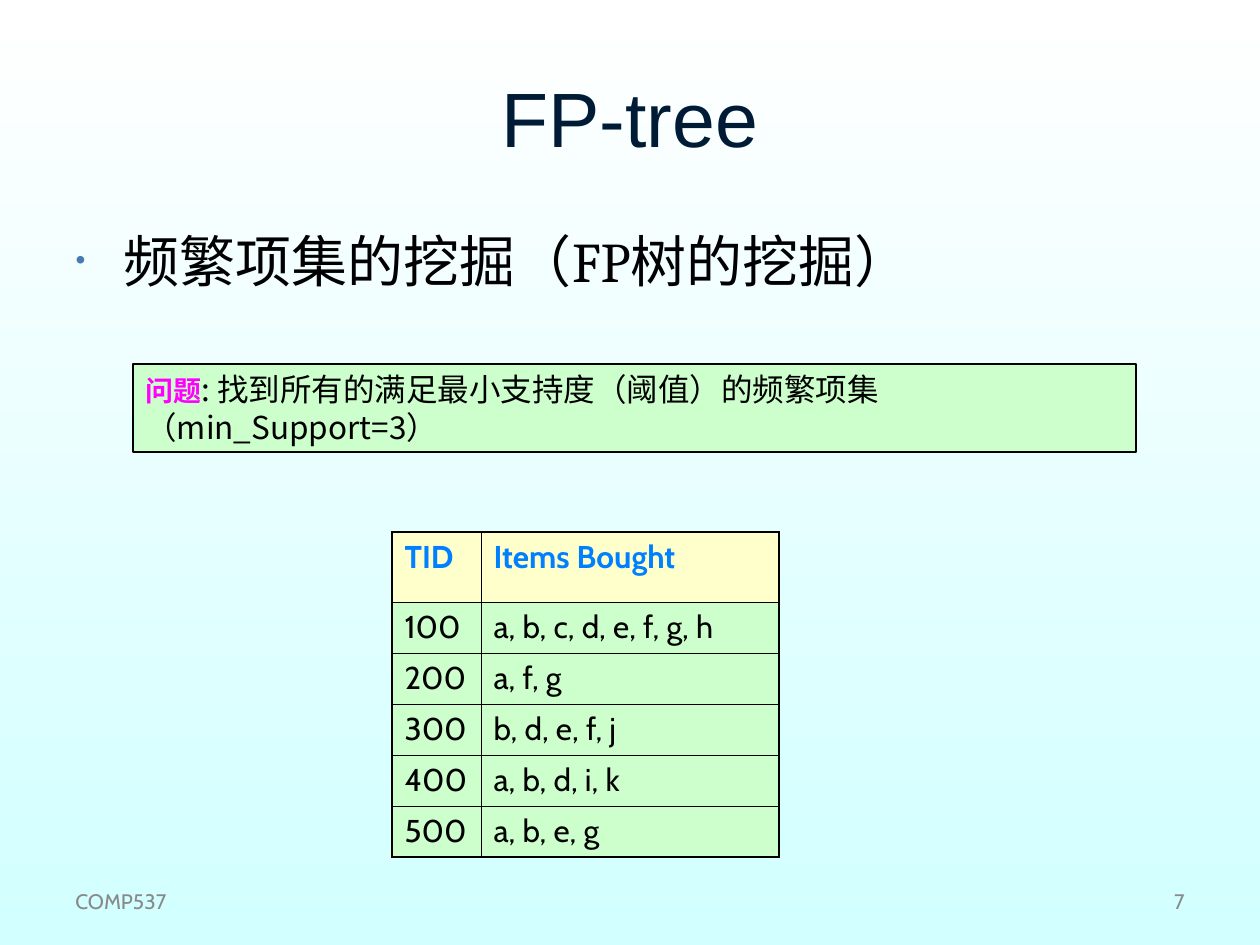
from lxml import etree
from pptx import Presentation
from pptx import util as u
from pptx.dml.color import RGBColor
from pptx.enum import shapes, text
from pptx.oxml import ns

PX_PER_INCH = 126
BLACK = RGBColor(0x00, 0x00, 0x00)
WHITE = RGBColor(0xFF, 0xFF, 0xFF)
PALE_CYAN = RGBColor(0xD2, 0xFF, 0xFF)
NAVY = RGBColor(0x00, 0x1B, 0x36)
STEEL = RGBColor(0x47, 0x7A, 0xB1)
GRAY = RGBColor(0x89, 0x89, 0x89)
MAGENTA = RGBColor(0xFF, 0x00, 0xFF)
BLUE = RGBColor(0x00, 0x80, 0xFF)
CREAM = RGBColor(0xFF, 0xFF, 0xCC)
MINT = RGBColor(0xCC, 0xFF, 0xCC)

TRANSACTIONS = [
    ("TID", "Items Bought"),
    ("100", "a, b, c, d, e, f, g, h"),
    ("200", "a, f, g"),
    ("300", "b, d, e, f, j"),
    ("400", "a, b, d, i, k"),
    ("500", "a, b, e, g"),
]


def px(length):
    return u.Emu(round(length * u.Inches(1) / PX_PER_INCH))


def add_xml(parent, tag, **attributes):
    return etree.SubElement(parent, ns.qn(tag), attributes)


class SlideBuilder:
    body_font = "Cabin"
    thin, thick = u.Pt(0.45), u.Pt(1.08)

    def __init__(self, presentation):
        self.slide = presentation.slides.add_slide(presentation.slide_layouts[1])

    def background(self, top, bottom):
        fill = self.slide.background.fill
        fill.gradient()
        fill.gradient_angle = 270
        for stop, color, position in zip(fill.gradient_stops, (top, bottom), (0, 1)):
            stop.color.rgb = color
            stop.position = position

    def style(self, font, size, color, name=None, bold=False):
        font.name = name or self.body_font
        font.size = u.Pt(size)
        font.color.rgb = color
        font.bold = bold

    def place(self, shape, left, top, width, height):
        shape.left, shape.top = px(left), px(top)
        shape.width, shape.height = px(width), px(height)

    def title(self, box, words):
        shape = self.slide.shapes.title
        self.place(shape, *box)
        shape.text_frame.text = words
        shape.text_frame.vertical_anchor = text.MSO_ANCHOR.MIDDLE
        paragraph = shape.text_frame.paragraphs[0]
        paragraph.alignment = text.PP_ALIGN.CENTER
        self.style(paragraph.font, 44, NAVY, "Arial")

    def bullet(self, box, words):
        shape = self.slide.placeholders[1]
        self.place(shape, *box)
        shape.text_frame.text = words
        paragraph = shape.text_frame.paragraphs[0]
        paragraph.space_before = u.Pt(0)
        properties = paragraph._p.get_or_add_pPr()
        properties.set("marL", str(px(48)))
        properties.set("indent", str(-px(48)))
        color = add_xml(properties, "a:buClr")
        add_xml(color, "a:srgbClr", val=str(STEEL))
        add_xml(properties, "a:buSzPct", val="50000")
        add_xml(properties, "a:buFont", typeface="Arial")
        add_xml(properties, "a:buChar", char="•")
        self.style(paragraph.font, 32, BLACK, "Cambria")

    def footer(self, box, words, alignment):
        frame = self.slide.shapes.add_textbox(*map(px, box)).text_frame
        frame.word_wrap = True
        frame.vertical_anchor = text.MSO_ANCHOR.MIDDLE
        frame.text = words
        paragraph = frame.paragraphs[0]
        paragraph.alignment = alignment
        self.style(paragraph.font, 12, GRAY)

    def callout(self, box, label, words):
        shape = self.slide.shapes.add_shape(
            shapes.MSO_SHAPE.RECTANGLE, *map(px, box))
        shape.shadow.inherit = False
        shape.fill.solid()
        shape.fill.fore_color.rgb = MINT
        shape.line.color.rgb = BLACK
        shape.line.width = u.Pt(0.75)
        frame = shape.text_frame
        frame.word_wrap = True
        frame.vertical_anchor = text.MSO_ANCHOR.TOP
        paragraph = frame.paragraphs[0]
        paragraph.alignment = text.PP_ALIGN.LEFT
        run = paragraph.add_run()
        run.text = label
        self.style(run.font, 16, MAGENTA, bold=True)
        run = paragraph.add_run()
        run.text = words
        self.style(run.font, 18, BLACK, "Noto Sans CJK SC")

    def borders(self, cell, outer):
        properties = cell._tc.get_or_add_tcPr()
        for index, side in enumerate(("L", "R", "T", "B")):
            width = self.thick if side in outer else self.thin
            line = etree.Element(ns.qn(f"a:ln{side}"), w=str(width))
            fill = add_xml(line, "a:solidFill")
            add_xml(fill, "a:srgbClr", val=str(BLACK))
            properties.insert(index, line)

    def table(self, left, top, widths, heights, rows):
        table = self.slide.shapes.add_table(
            len(rows), len(widths), px(left), px(top),
            px(sum(widths)), px(sum(heights))).table
        for column, width in zip(table.columns, widths):
            column.width = px(width)
        for r, (row, height) in enumerate(zip(rows, heights)):
            table.rows[r].height = px(height)
            for c, words in enumerate(row):
                cell = table.cell(r, c)
                header = r == 0
                cell.text = words
                cell.fill.solid()
                cell.fill.fore_color.rgb = CREAM if header else MINT
                paragraph = cell.text_frame.paragraphs[0]
                self.style(paragraph.font, 18, BLUE if header else BLACK, bold=header)
                edges = {"L": c == 0, "R": c == len(widths) - 1,
                         "T": header, "B": r == len(rows) - 1}
                self.borders(cell, [side for side, outer in edges.items() if outer])


def main():
    presentation = Presentation()
    presentation.slide_width, presentation.slide_height = px(1260), px(945)
    builder = SlideBuilder(presentation)
    builder.background(WHITE, PALE_CYAN)

    # Heading and topic
    builder.title((63, 38, 1134, 158), "FP-tree")
    builder.bullet((63, 220, 1134, 624), "频繁项集的挖掘（FP树的挖掘）")

    # Footer
    builder.footer((63, 876, 294, 50), "COMP537", text.PP_ALIGN.LEFT)
    builder.footer((903, 876, 294, 50), "7", text.PP_ALIGN.RIGHT)

    # Problem statement
    builder.callout((133, 364, 1003, 88), "问题",
                    ": 找到所有的满足最小支持度（阈值）的频繁项集（min_Support=3）")

    # Transactions
    builder.table(392, 532, (89, 298), (70,) + (51,) * 5, TRANSACTIONS)

    presentation.save("out.pptx")


if __name__ == "__main__":
    main()
